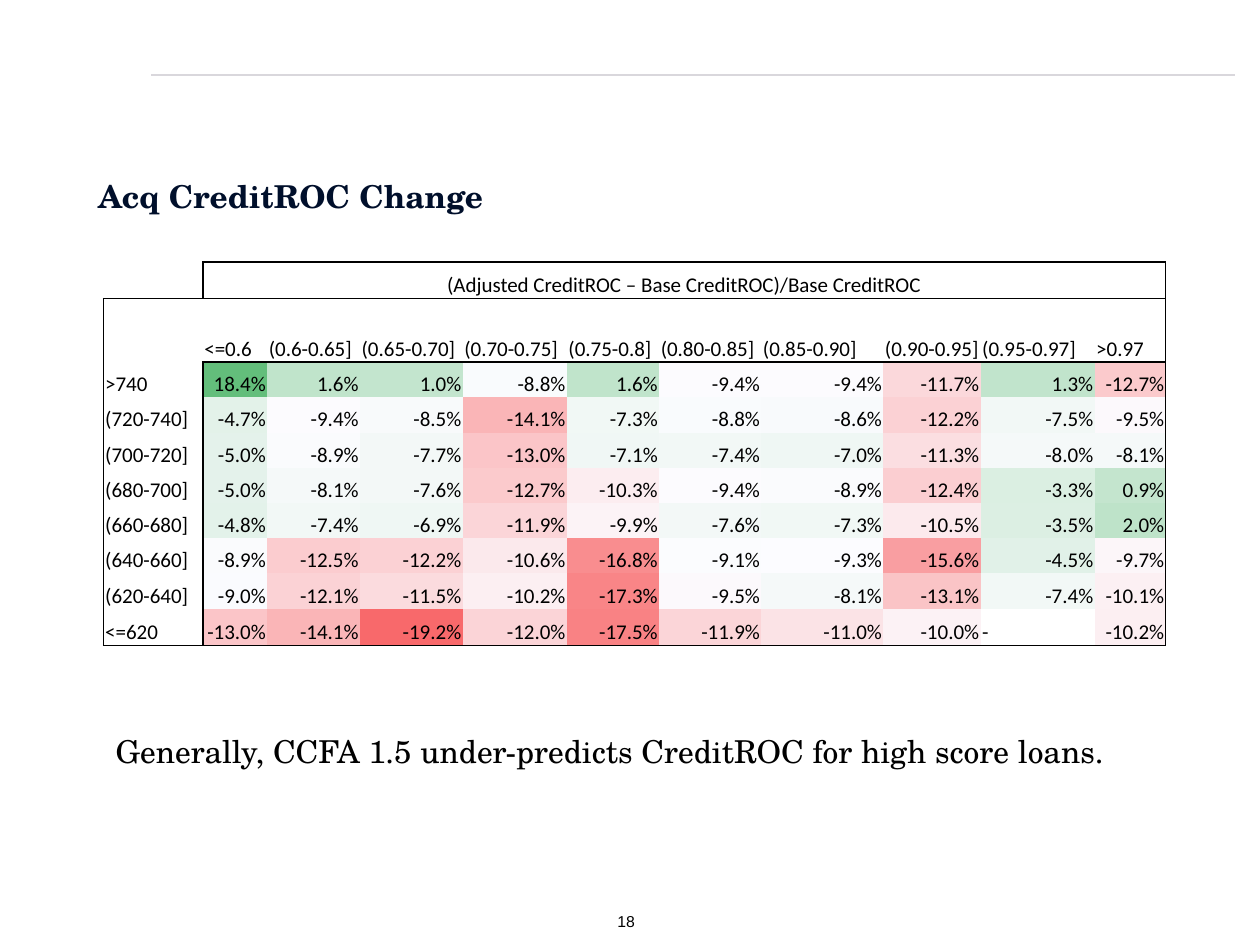
"""Build the Acq CreditROC Change slide with its colour-scaled table."""
from lxml import etree
from pptx import Presentation
from pptx.dml.color import RGBColor
from pptx.enum import shapes, text
from pptx.oxml import ns
from pptx.util import Cm, Pt

COLORS = {"black": "000000", "title": "000F2B", "rule": "D9D7DC",
          "low": "F8696B", "mid": "FCFCFF", "high": "63BE7B"}
LOW, MID, HIGH = -19.2, -9.3, 18.4

HEADING = "(Adjusted CreditROC – Base CreditROC)/Base CreditROC"
LTV = ["<=0.6", "(0.6-0.65]", "(0.65-0.70]", "(0.70-0.75]", "(0.75-0.8]",
       "(0.80-0.85]", "(0.85-0.90]", "(0.90-0.95]", "(0.95-0.97]", ">0.97"]
CHANGES = {
    ">740": [18.4, 1.6, 1.0, -8.8, 1.6, -9.4, -9.4, -11.7, 1.3, -12.7],
    "(720-740]": [-4.7, -9.4, -8.5, -14.1, -7.3, -8.8, -8.6, -12.2, -7.5, -9.5],
    "(700-720]": [-5.0, -8.9, -7.7, -13.0, -7.1, -7.4, -7.0, -11.3, -8.0, -8.1],
    "(680-700]": [-5.0, -8.1, -7.6, -12.7, -10.3, -9.4, -8.9, -12.4, -3.3, 0.9],
    "(660-680]": [-4.8, -7.4, -6.9, -11.9, -9.9, -7.6, -7.3, -10.5, -3.5, 2.0],
    "(640-660]": [-8.9, -12.5, -12.2, -10.6, -16.8, -9.1, -9.3, -15.6, -4.5, -9.7],
    "(620-640]": [-9.0, -12.1, -11.5, -10.2, -17.3, -9.5, -8.1, -13.1, -7.4, -10.1],
    "<=620": [-13.0, -14.1, -19.2, -12.0, -17.5, -11.9, -11.0, -10.0, None, -10.2],
}
COL_WIDTHS = [2.0, 1.3, 1.87, 2.07, 2.1, 1.86, 2.06, 2.46, 1.96, 2.3, 1.43]
ROW_HEIGHTS = [0.74, 1.28] + [0.71] * 7 + [0.74]


def add_run(p, words, size, font, color="black", bold=False):
    r = p.add_run()
    r.text = words
    r.font.size, r.font.name, r.font.bold = Pt(size), font, bold
    r.font.color.rgb = RGBColor.from_string(COLORS[color])


def scale_color(value):
    end, limit = ("high", HIGH) if value > MID else ("low", LOW)
    t = (value - MID) / (limit - MID)
    pairs = zip(RGBColor.from_string(COLORS["mid"]), RGBColor.from_string(COLORS[end]))
    return RGBColor(*(round(a + (b - a) * t) for a, b in pairs))


prs = Presentation()
prs.slide_width, prs.slide_height = Cm(25.4), Cm(19.05)
s = prs.slides.add_slide(prs.slide_layouts[6])

rule = s.shapes.add_connector(shapes.MSO_CONNECTOR.STRAIGHT,
                              Cm(3.05), Cm(1.51), Cm(24.89), Cm(1.51))
rule.line.color.rgb = RGBColor.from_string(COLORS["rule"])
rule.line.width = Pt(1.5)
etree.SubElement(rule._element.spPr, ns.qn("a:effectLst"))

for box, margins, words, size, font, color, bold, align, spacing in [
    ((11.48, 18.29, 2.29, 0.58), (0.18, 0.1, 0.18, 0.1), "18", 9, "Arial",
     "black", False, text.PP_ALIGN.CENTER, 1.0),
    ((1.98, 3.53, 22.89, 0.89), (0, 0.13, 0.25, 0.13), "Acq CreditROC Change", 18,
     "TeX Gyre Schola", "title", True, text.PP_ALIGN.LEFT, 0.9),
    ((2.08, 14.63, 21.64, 1.02), (0.25, 0.13, 0.25, 0.13),
     "Generally, CCFA 1.5 under-predicts CreditROC for high score loans.", 18,
     "TeX Gyre Schola", "black", False, text.PP_ALIGN.LEFT, 1.0),
]:
    tf = s.shapes.add_textbox(*map(Cm, box)).text_frame
    tf.word_wrap = True
    tf.margin_left, tf.margin_top, tf.margin_right, tf.margin_bottom = map(Cm, margins)
    p = tf.paragraphs[0]
    p.alignment, p.line_spacing = align, spacing
    add_run(p, words, size, font, color, bold)

rows = [[None, HEADING] + [None] * 9, [None] + LTV]
rows += [[label] + values for label, values in CHANGES.items()]
last_row, last_col = len(rows) - 1, len(COL_WIDTHS) - 1

frame = s.shapes.add_table(len(rows), len(COL_WIDTHS), Cm(2.09), Cm(5.28),
                           Cm(sum(COL_WIDTHS)), Cm(sum(ROW_HEIGHTS)))
table = frame.table
table.first_row = table.horz_banding = False
table._tbl.tblPr.find(ns.qn("a:tableStyleId")).text = "{2D5ABB26-0587-4C30-8999-92F81FD0307C}"
for column, width in zip(table.columns, COL_WIDTHS):
    column.width = Cm(width)
for row, height in zip(table.rows, ROW_HEIGHTS):
    row.height = Cm(height)
table.cell(0, 1).merge(table.cell(0, last_col))

for i, values in enumerate(rows):
    for j, value in enumerate(values):
        cell = table.cell(i, j)
        cell.margin_left = cell.margin_top = cell.margin_right = Cm(0.03)
        cell.margin_bottom = 0
        cell.vertical_anchor = text.MSO_ANCHOR.BOTTOM
        p = cell.text_frame.paragraphs[0]
        is_number = isinstance(value, float)
        if is_number:
            p.alignment = text.PP_ALIGN.RIGHT
            add_run(p, f"{value:.1f}%", 12, "Calibri")
        elif value or i == last_row:
            p.alignment = text.PP_ALIGN.CENTER if i == 0 else text.PP_ALIGN.LEFT
            add_run(p, value or "-", 12, "Calibri")
        else:
            p._p.get_or_add_endParaRPr().set("sz", "1200")

        edges = {
            "lnL": (j == 0 and i > 0) or (j == 1 and i != 1),
            "lnR": (j == 0 and i != 1) or j == last_col or (i == 0 and j == 1),
            "lnT": i == 1 or (j > 0 and i in (0, 2)),
            "lnB": i in (0, last_row) or (j > 0 and i == 1),
        }
        tcPr = cell._tc.get_or_add_tcPr()
        for edge, drawn in edges.items():
            ln = etree.SubElement(tcPr, ns.qn(f"a:{edge}"), w=str(Pt(1)))
            fill = etree.SubElement(ln, ns.qn("a:solidFill" if drawn else "a:noFill"))
            if drawn:
                etree.SubElement(fill, ns.qn("a:srgbClr"), val=COLORS["black"])
        if is_number:
            cell.fill.solid()
            cell.fill.fore_color.rgb = scale_color(value)
        else:
            cell.fill.background()

prs.save("out.pptx")
